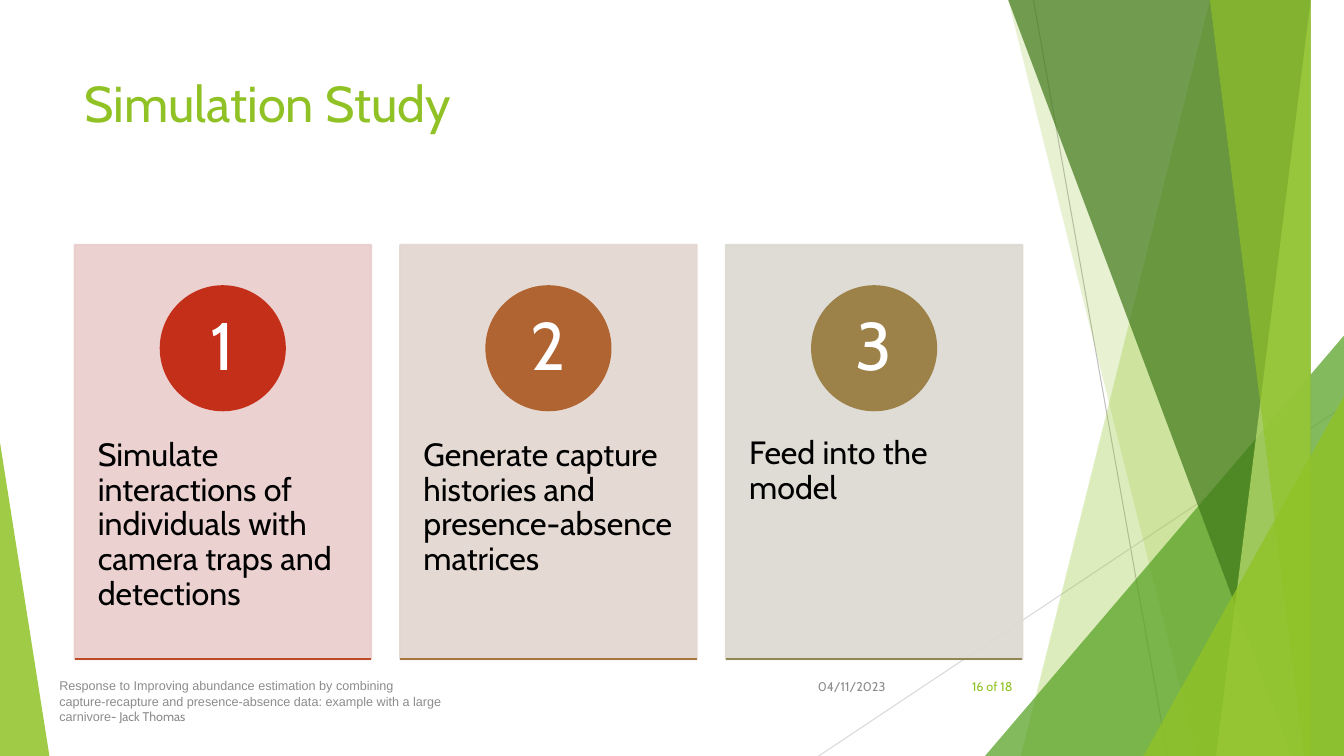
from lxml import etree
from pptx import Presentation
from pptx.dml.color import RGBColor
from pptx.enum.shapes import MSO_CONNECTOR, MSO_SHAPE
from pptx.enum.text import MSO_ANCHOR, PP_ALIGN
from pptx.oxml.ns import qn
from pptx.util import Inches, Pt

LINE = MSO_CONNECTOR.STRAIGHT
RECTANGLE, OVAL, TRIANGLE = MSO_SHAPE.RECTANGLE, MSO_SHAPE.OVAL, MSO_SHAPE.ISOSCELES_TRIANGLE
TOP, MIDDLE = MSO_ANCHOR.TOP, MSO_ANCHOR.MIDDLE
LEFT, CENTER, RIGHT = PP_ALIGN.LEFT, PP_ALIGN.CENTER, PP_ALIGN.RIGHT

TITLE = "Simulation Study"
# step text, card colour, circle colour, base line colour
STEPS = [
    ("Simulate interactions of individuals with camera traps and detections",
     "EACDCD", "C42F1A", "BA4C25"),
    ("Generate capture histories and presence-absence matrices",
     "E3D7CF", "B06431", "A6763D"),
    ("Feed into the model", "DCD9D1", "9C8149", "918655"),
]
DATE, PAGE = "04/11/2023", "16 of 18"
FOOTER = ("Response to Improving abundance estimation by combining\v"
          "capture-recapture and presence-absence data: example with a large\vcarnivore")
AUTHOR = "- Jack Thomas"

COLOURS = {"lime": "90C226", "green": "54A021", "forest": "3F7819", "pale": "C0E474",
           "grey": "8C8C8C", "black": "000000", "white": "FFFFFF"}
WIDTH, HEIGHT = 13.33, 7.5

RAYS = [((10.25, 0), (11.58, HEIGHT), "BFBFBF"), ((WIDTH, 4.03), (8.12, HEIGHT), "D9D9D9")]
# bands reach the right edge: ("band", top x, bottom x, colour, opacity)
# corners rise from the bottom: ("corner", left, width, height, apex, colour, opacity)
FACETS = [
    ("band", 12.28, 10.04, "lime", 30),
    ("band", 10.5, 11.83, "lime", 20),
    ("corner", 9.77, 3.56, 4.17, 1, "green", 72),
    ("band", 10.21, 12.91, "forest", 70),
    ("band", 13.03, 11.92, "pale", 70),
    ("band", 11.96, 13.18, "lime", 65),
    ("corner", 11.34, 1.99, 3.57, 1, "lime", 80),
    ("corner", 0, 0.49, 3.11, 0, "lime", 85),
]

CARD_LEFT, CARD_TOP, CARD_WIDTH, CARD_HEIGHT, CARD_PITCH = 0.74, 2.43, 2.94, 4.11, 3.23
CIRCLE, CIRCLE_TOP, NUMBER = 1.23, 2.84, 0.87
STEP_TOP, STEP_HEIGHT = 3.99, 2.47

presentation = Presentation()
presentation.slide_width, presentation.slide_height = Inches(WIDTH), Inches(HEIGHT)
slide = presentation.slides.add_slide(presentation.slide_layouts[6])
shapes = slide.shapes


def paint(shape, colour, opacity=100, outline=False):
    shape.shadow.inherit = False
    shape.fill.solid()
    shape.fill.fore_color.rgb = RGBColor.from_string(colour)
    if outline:
        shape.line.color.rgb = RGBColor.from_string(colour)
        shape.line.width = Pt(1.5)
    else:
        shape.line.fill.background()
    if opacity < 100:
        for tint in shape._element.spPr.iter(qn("a:srgbClr")):
            etree.SubElement(tint, qn("a:alpha"), val=str(opacity * 1000))


def add_line(start, end, colour, points):
    line = shapes.add_connector(LINE, *map(Inches, start + end))
    line.line.color.rgb = RGBColor.from_string(colour)
    line.line.width = Pt(points)
    etree.SubElement(line._element.spPr, qn("a:effectLst"))


def add_shape(kind, box, colour, opacity=100, outline=False):
    shape = shapes.add_shape(kind, *map(Inches, box))
    paint(shape, colour, opacity, outline)
    return shape


def style_run(run, size, colour, font="Cabin"):
    run.font.size, run.font.name = Pt(size), font
    run.font.color.rgb = RGBColor.from_string(COLOURS[colour])


def add_text(text, box, size, colour, font="Cabin", align=LEFT, anchor=TOP,
             insets=(0.1, 0.05), spacing=None):
    frame = shapes.add_textbox(*map(Inches, box)).text_frame
    frame.word_wrap, frame.vertical_anchor = True, anchor
    frame.margin_left = frame.margin_right = Inches(insets[0])
    frame.margin_top = frame.margin_bottom = Inches(insets[1])
    paragraph = frame.paragraphs[0]
    paragraph.text, paragraph.alignment = text, align
    if spacing:
        paragraph.line_spacing = spacing
    for run in paragraph.runs:
        style_run(run, size, colour, font)
    for line_break in paragraph._p.findall(qn("a:br")):
        etree.SubElement(line_break, qn("a:rPr"), sz=str(size * 100))
    return paragraph


def add_band(top_x, bottom_x, colour, opacity):
    builder = shapes.build_freeform(top_x, 0, scale=Inches(1))
    builder.add_line_segments([(WIDTH, 0), (WIDTH, HEIGHT), (bottom_x, HEIGHT)])
    paint(builder.convert_to_shape(), COLOURS[colour], opacity)


def add_corner(left, width, height, apex, colour, opacity):
    box = (left, HEIGHT - height, width, height)
    add_shape(TRIANGLE, box, COLOURS[colour], opacity).adjustments[0] = apex


def add_step(index, text, card, circle, base):
    left = CARD_LEFT + index * CARD_PITCH
    bottom = CARD_TOP + CARD_HEIGHT
    circle_left = left + (CARD_WIDTH - CIRCLE) / 2
    inner = (CIRCLE - NUMBER) / 2
    add_shape(RECTANGLE, (left, CARD_TOP, CARD_WIDTH, CARD_HEIGHT), card, 90, outline=True)
    add_text(text, (left, STEP_TOP, CARD_WIDTH, STEP_HEIGHT), 23, "black",
             insets=(0.23, 0.36), spacing=0.9)
    add_shape(OVAL, (circle_left, CIRCLE_TOP, CIRCLE, CIRCLE), circle, outline=True)
    add_text(str(index + 1), (circle_left + inner, CIRCLE_TOP + inner, NUMBER, NUMBER), 48,
             "white", align=CENTER, anchor=MIDDLE, insets=(0.1, 0.01), spacing=0.9)
    add_line((left, bottom), (left + CARD_WIDTH, bottom), base, 1.5)


for start, end, colour in RAYS:
    add_line(start, end, colour, 0.75)
for kind, *facet in FACETS:
    (add_band if kind == "band" else add_corner)(*facet)

add_text(TITLE, (CARD_LEFT, 0.67, 9.4, 1.44), 36, "lime")
for index, step in enumerate(STEPS):
    add_step(index, *step)

add_text(DATE, (7.88, 6.61, 1, 0.4), 9, "grey", align=RIGHT, anchor=MIDDLE)
add_text(PAGE, (9.39, 6.61, 0.75, 0.4), 9, "lime", align=RIGHT, anchor=MIDDLE)
footer = add_text(FOOTER, (0.49, 6.5, 7.57, 0.91), 9, "grey", font="Arial", anchor=MIDDLE)
author = footer.add_run()
author.text = AUTHOR
style_run(author, 9, "grey")

presentation.save("out.pptx")
